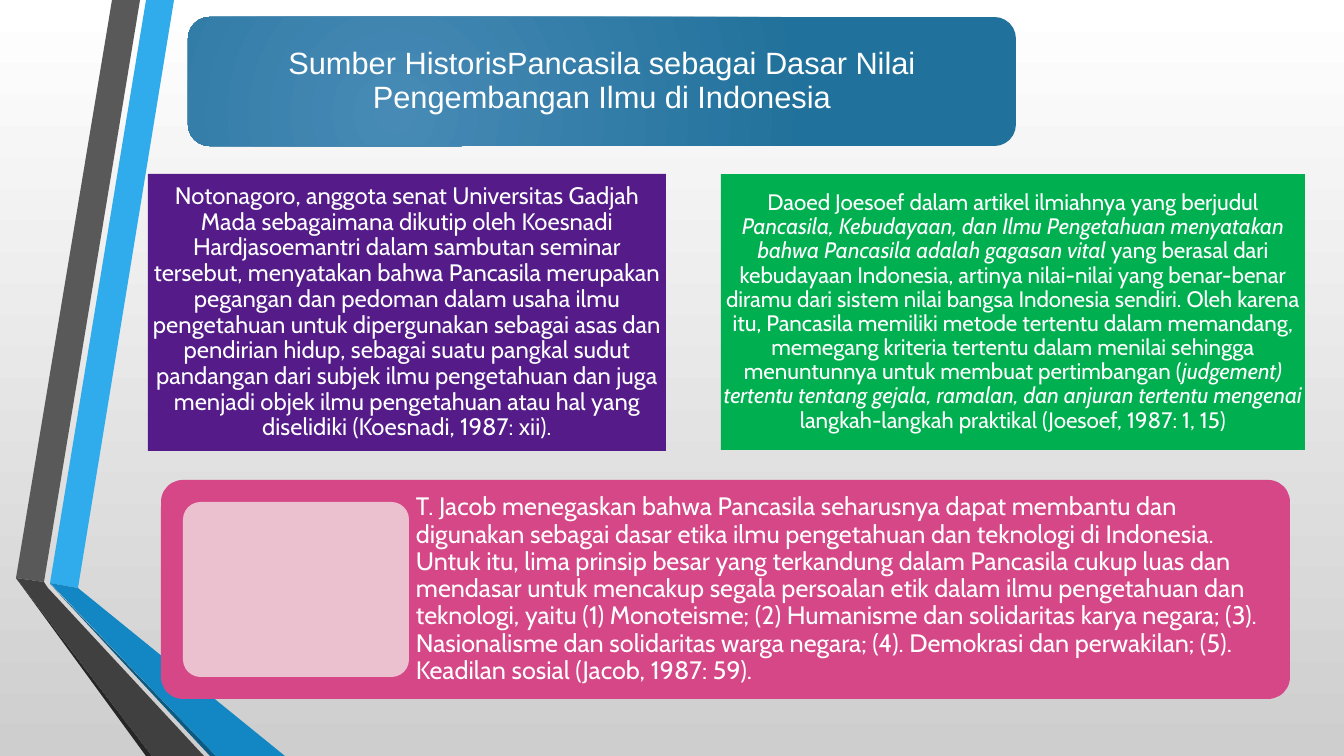
from lxml import etree
from pptx import Presentation
from pptx.dml.color import RGBColor
from pptx.enum.shapes import MSO_SHAPE
from pptx.enum.text import MSO_ANCHOR, MSO_AUTO_SIZE, PP_ALIGN
from pptx.oxml.ns import qn
from pptx.util import Pt

WIDE, HIGH = 1344, 756
UNIT = 12192000 / WIDE
HUES = {
    "white": "FFFFFF", "mist": "CECECE", "sky": "30ACEC", "blue": "1287C3",
    "navy": "0C5A82", "grey": "595959", "dark": "404040", "black": "262626",
    "steel": "478AB6", "teal": "20719B", "plum": "541B89", "green": "00B050",
    "pink": "D64787", "blush": "ECC1CF",
}
BANDS = [
    ("sky", [(50, 583), (78, 588), (174, 0), (146, 0)]),
    ("grey", [(140, 0), (112, 0), (16, 578), (44, 582)]),
    ("black", [(16, 578), (146, 756), (152, 756)]),
    ("navy", [(50, 584), (210, 756), (216, 756)]),
    ("blue", [(50, 583), (216, 756), (285, 756), (78, 588)]),
    ("dark", [(204, 756), (48, 588), (44, 582), (16, 578), (152, 756)]),
]
TITLE = "Sumber HistorisPancasila sebagai Dasar Nilai Pengembangan Ilmu di Indonesia"
NOTO = [(
    "Notonagoro, anggota senat Universitas Gadjah Mada sebagaimana dikutip oleh "
    "Koesnadi Hardjasoemantri dalam sambutan seminar tersebut, menyatakan bahwa "
    "Pancasila merupakan pegangan dan pedoman dalam usaha ilmu pengetahuan untuk "
    "dipergunakan sebagai asas dan pendirian hidup, sebagai suatu pangkal sudut "
    "pandangan dari subjek ilmu pengetahuan dan juga menjadi objek ilmu "
    "pengetahuan atau hal yang diselidiki (Koesnadi, 1987: xii).", False)]
DAOED = [
    ("Daoed Joesoef dalam artikel ilmiahnya yang berjudul ", False),
    ("Pancasila, Kebudayaan, dan Ilmu Pengetahuan menyatakan bahwa Pancasila "
     "adalah gagasan vital ", True),
    ("yang berasal dari kebudayaan Indonesia, artinya nilai-nilai yang "
     "benar-benar diramu dari sistem nilai bangsa Indonesia sendiri. Oleh karena "
     "itu, Pancasila memiliki metode tertentu dalam memandang, memegang kriteria "
     "tertentu dalam menilai sehingga menuntunnya untuk membuat pertimbangan (", False),
    ("judgement) tertentu tentang gejala, ramalan, dan anjuran tertentu "
     "mengenai ", True),
    ("langkah-langkah praktikal (Joesoef, 1987: 1, 15)", False),
]
JACOB = [(
    "T. Jacob menegaskan bahwa Pancasila seharusnya dapat membantu dan digunakan "
    "sebagai dasar etika ilmu pengetahuan dan teknologi di Indonesia. Untuk itu, "
    "lima prinsip besar yang terkandung dalam Pancasila cukup luas dan mendasar "
    "untuk mencakup segala persoalan etik dalam ilmu pengetahuan dan teknologi, "
    "yaitu (1) Monoteisme; (2) Humanisme dan solidaritas karya negara; (3). "
    "Nasionalisme dan solidaritas warga negara; (4). Demokrasi dan perwakilan; "
    "(5). Keadilan sosial (Jacob, 1987: 59).", False)]


def px(num):
    """Turn px into EMU."""
    return round(num * UNIT)


def hue(name):
    """Look up a named colour."""
    return RGBColor.from_string(HUES[name])


def blend(fill, first, last):
    """Give a fill two gradient stops."""
    fill.gradient()
    for stop, name, spot in zip(fill.gradient_stops, (first, last), (0, 1)):
        stop.color.rgb = hue(name)
        stop.position = spot


def paint(shape, name):
    """Fill a shape plainly, with no line or shadow."""
    shape.shadow.inherit = False
    shape.fill.solid()
    shape.fill.fore_color.rgb = hue(name)
    shape.line.fill.background()


def block(slide, box, name, kind=MSO_SHAPE.RECTANGLE, curve=None):
    """Draw a filled preset shape in a box."""
    shape = slide.shapes.add_shape(kind, *map(px, box))
    paint(shape, name)
    if curve is not None:
        shape.adjustments[0] = curve
    return shape


def write(shape, runs, size, inset, align=PP_ALIGN.CENTER, font="Cabin"):
    """Set one paragraph of white runs in a shape."""
    frame = shape.text_frame
    frame.word_wrap = True
    frame.auto_size = MSO_AUTO_SIZE.NONE
    frame.vertical_anchor = MSO_ANCHOR.MIDDLE
    frame.margin_left = frame.margin_right = px(inset)
    frame.margin_top = frame.margin_bottom = px(inset)
    para = frame.paragraphs[0]
    para.alignment = align
    para.line_spacing = 0.9
    para.space_before = Pt(0)
    for text, slant in runs:
        run = para.add_run()
        run.text = text
        run.font.name = font
        run.font.size = Pt(size)
        run.font.italic = slant
        run.font.color.rgb = hue("white")


def backdrop(slide):
    """Shade the background and draw the bent bands."""
    fill = slide.background.fill
    blend(fill, "white", "mist")
    fill.gradient_angle = 270
    for name, points in BANDS:
        pen = slide.shapes.build_freeform(*points[0], scale=UNIT)
        pen.add_line_segments(points[1:], close=True)
        paint(pen.convert_to_shape(), name)


def header(slide, box):
    """Place the title over its rounded panel."""
    panel = block(slide, box, "teal", MSO_SHAPE.ROUNDED_RECTANGLE)
    blend(panel.fill, "steel", "teal")
    grad = panel._element.spPr.find(qn("a:gradFill"))
    grad.remove(grad.find(qn("a:lin")))
    glow = etree.SubElement(grad, qn("a:path"), path="circle")
    etree.SubElement(glow, qn("a:fillToRect"),
                     l="50000", t="100000", r="100000", b="50000")
    title = slide.shapes.title
    title.left, title.top, title.width, title.height = map(px, box)
    write(title, [(TITLE, False)], 22, 9, font="Arial")
    panel._element.addnext(title._element)


def quote(slide, box, name, runs, size):
    """Draw a flat panel with centred text."""
    write(block(slide, box, name), runs, size, 1)


def footer(slide, box):
    """Draw the wide panel, its inner tile and the text beside it."""
    left, top, width, height = box
    pad, tile = 22, 226
    start = pad + tile
    kind = MSO_SHAPE.ROUNDED_RECTANGLE
    block(slide, box, "pink", kind, 0.1)
    block(slide, (left + pad, top + pad, tile, height - 2 * pad), "blush", kind, 0.1)
    area = (left + start, top, width - start, height)
    text = slide.shapes.add_textbox(*map(px, area))
    write(text, JACOB, 18, 7, PP_ALIGN.LEFT)


def main():
    """Build and save the slide."""
    deck = Presentation()
    deck.slide_width, deck.slide_height = px(WIDE), px(HIGH)
    slide = deck.slides.add_slide(deck.slide_layouts.get_by_name("Title Only"))
    backdrop(slide)
    header(slide, (188, 17, 828, 129))
    quote(slide, (148, 174, 518, 277), "plum", NOTO, 17)
    quote(slide, (721, 174, 584, 276), "green", DAOED, 16)
    footer(slide, (161, 480, 1129, 219))
    deck.save("out.pptx")


if __name__ == "__main__":
    main()
